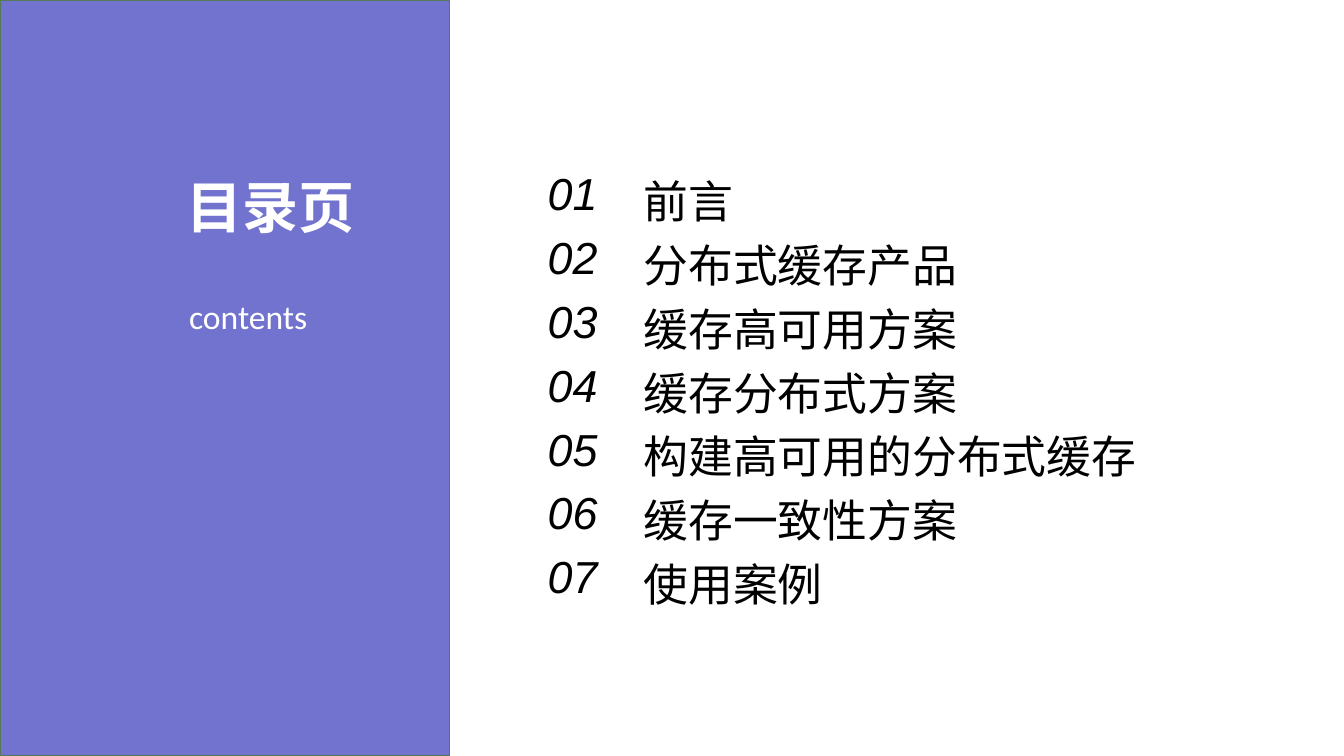
"""Build the contents slide of a talk on distributed caching."""
from dataclasses import dataclass

from pptx import Presentation
from pptx.dml.color import RGBColor
from pptx.enum.shapes import MSO_SHAPE
from pptx.enum.text import MSO_ANCHOR, MSO_AUTO_SIZE
from pptx.util import Pt

RECT = MSO_SHAPE.RECTANGLE
BOTTOM = MSO_ANCHOR.BOTTOM
GROW = MSO_AUTO_SIZE.SHAPE_TO_FIT_TEXT


@dataclass(frozen=True)
class Theme:
    """Colours, fonts and type sizes of the slide."""
    panel: RGBColor = RGBColor(0x71, 0x73, 0xCF)
    edge: RGBColor = RGBColor(0x54, 0x79, 0x57)
    light: RGBColor = RGBColor(0xFF, 0xFF, 0xFF)
    dark: RGBColor = RGBColor(0x00, 0x00, 0x00)
    head: str = "Calibri"
    body: str = "Arial"
    title: int = 40
    label: int = 24
    item: int = 32


THEME = Theme()
TOPICS = [
    "前言",
    "分布式缓存产品",
    "缓存高可用方案",
    "缓存分布式方案",
    "构建高可用的分布式缓存",
    "缓存一致性方案",
    "使用案例",
]
COLS = (68.4, 476)
ROW = 45.6


def style(frame, face, size, color, bold=False, italic=False):
    """Format every run in a text frame."""
    for para in frame.paragraphs:
        for run in para.runs:
            font = run.font
            font.name, font.size = face, Pt(size)
            font.bold, font.italic = bold, italic
            font.color.rgb = color


def add_panel(slide, width, height):
    """Draw the coloured panel on the left."""
    panel = slide.shapes.add_shape(RECT, 0, 0, Pt(width), Pt(height))
    panel.shadow.inherit = False
    panel.fill.solid()
    panel.fill.fore_color.rgb = THEME.panel
    panel.line.color.rgb = THEME.edge
    panel.line.width = Pt(1)


def add_label(slide, text, box, size, bold=False):
    """Add one light line of text on the panel."""
    frame = slide.shapes.add_textbox(*map(Pt, box)).text_frame
    frame.word_wrap = False
    frame.auto_size = GROW
    frame.text = text
    style(frame, THEME.head, size, THEME.light, bold)


def fill_cell(cell, text, italic):
    """Write one clear, bottom-aligned table cell."""
    cell.fill.background()
    cell.vertical_anchor = BOTTOM
    cell.margin_left = cell.margin_right = Pt(9.6)
    cell.margin_top = cell.margin_bottom = Pt(3.6)
    cell.text_frame.text = text
    style(cell.text_frame, THEME.body, THEME.item, THEME.dark, italic=italic)


def add_list(slide, left, top):
    """Add the numbered table of topics."""
    count = len(TOPICS)
    table = slide.shapes.add_table(
        count, len(COLS), Pt(left), Pt(top), Pt(sum(COLS)), Pt(ROW * count)
    ).table
    table.first_row = table.horz_banding = False
    for col, width in zip(table.columns, COLS):
        col.width = Pt(width)
    for index, topic in enumerate(TOPICS):
        table.rows[index].height = Pt(ROW)
        fill_cell(table.cell(index, 0), f"{index + 1:02d}", True)
        fill_cell(table.cell(index, 1), topic, False)


def main():
    """Build and save the slide."""
    deck = Presentation()
    deck.slide_width, deck.slide_height = Pt(960), Pt(540)
    slide = deck.slides.add_slide(deck.slide_layouts[6])
    slide.background.fill.solid()
    slide.background.fill.fore_color.rgb = THEME.light
    add_panel(slide, 321, 540)
    add_label(slide, "目录页", (126, 119.5, 136, 55.5), THEME.title, True)
    add_label(slide, "contents", (128, 207.5, 133, 36), THEME.label)
    add_list(slide, 381.6, 115.2)
    deck.save("out.pptx")


if __name__ == "__main__":
    main()
